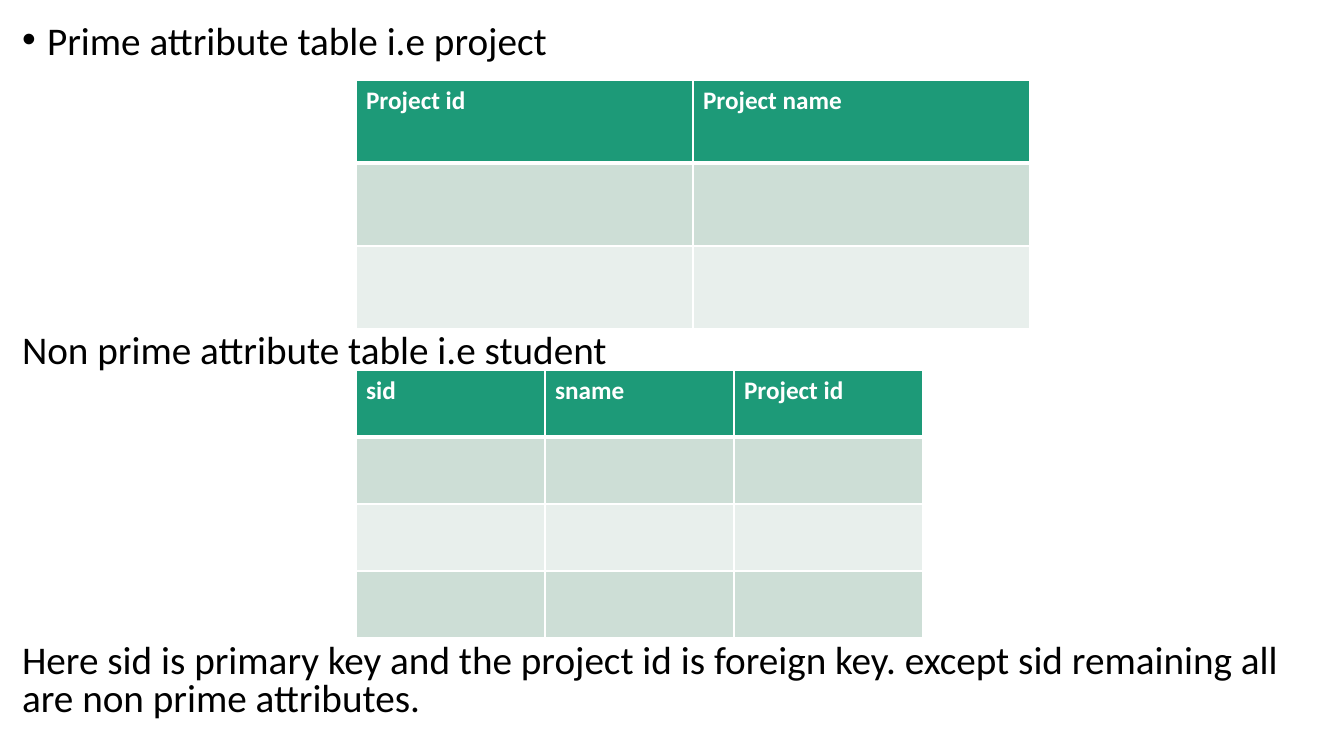
from lxml import etree
from pptx import Presentation
from pptx import util as u
from pptx.dml.color import RGBColor
from pptx.enum import text
from pptx.oxml import ns

BLACK = RGBColor(0x00, 0x00, 0x00)
WHITE = RGBColor(0xFF, 0xFF, 0xFF)
GREEN = RGBColor(0x1D, 0x9A, 0x78)
BANDS = (RGBColor(0xCD, 0xDE, 0xD6), RGBColor(0xE8, 0xEF, 0xEC))

PX = 914400 / 100.8
PAGE = (1344, 756)
BODY = (12, 20, 1332, 736)
BULLET_INDENT = 25
GAP = 272

STATEMENTS = [
    ("Prime attribute table i.e project", True),
    ("Non prime attribute table i.e student", False),
    ("Here sid is primary key and the project id is foreign key. "
     "except sid remaining all are non prime attributes.", False),
]
TABLES = [
    {"heads": ["Project id", "Project name"], "empty_rows": 2,
     "left": 356, "top": 80, "column": 337, "row": 83},
    {"heads": ["sid", "sname", "Project id"], "empty_rows": 3,
     "left": 356, "top": 370, "column": 189, "row": 67},
]
BODY_FONT = {"name": "Calibri", "size": u.Pt(28)}
HEAD_FONT = {"name": "Calibri", "size": u.Pt(18), "bold": True}


def px(length):
    return u.Emu(round(length * PX))


def set_font(font, values, color):
    for name, value in values.items():
        setattr(font, name, value)
    font.color.rgb = color


def set_bullet(para, bulleted):
    indent = px(BULLET_INDENT) if bulleted else 0
    props = para._p.get_or_add_pPr()
    props.set("marL", str(indent))
    props.set("indent", str(-indent))
    if bulleted:
        etree.SubElement(props, ns.qn("a:buFont")).set("typeface", "Arial")
        etree.SubElement(props, ns.qn("a:buChar")).set("char", "•")
    else:
        etree.SubElement(props, ns.qn("a:buNone"))


def set_borders(cell, top, bottom):
    props = cell._tc.get_or_add_tcPr()
    sides = {"L": 1, "R": 1, "T": top, "B": bottom}
    for place, (side, points) in enumerate(sides.items()):
        line = etree.Element(ns.qn(f"a:ln{side}"), w=str(u.Pt(points)))
        fill = etree.SubElement(line, ns.qn("a:solidFill"))
        etree.SubElement(fill, ns.qn("a:srgbClr")).set("val", str(WHITE))
        props.insert(place, line)


def add_statements(box):
    box.left, box.top, box.width, box.height = map(px, BODY)
    frame = box.text_frame
    frame.word_wrap = True
    frame.auto_size = text.MSO_AUTO_SIZE.NONE
    frame.vertical_anchor = text.MSO_ANCHOR.TOP
    for number, (words, bulleted) in enumerate(STATEMENTS):
        para = frame.add_paragraph() if number else frame.paragraphs[0]
        para.line_spacing = 0.8
        para.space_before = px(GAP) if number else u.Pt(0)
        set_bullet(para, bulleted)
        span = para.add_run()
        span.text = words
        set_font(span.font, BODY_FONT, BLACK)


def add_grid(page, heads, empty_rows, left, top, column, row):
    rows, columns = empty_rows + 1, len(heads)
    table = page.shapes.add_table(
        rows, columns, px(left), px(top),
        px(column * columns), px(row * rows)).table
    for row_number in range(rows):
        for column_number, head in enumerate(heads):
            cell = table.cell(row_number, column_number)
            cell.fill.solid()
            if row_number == 0:
                cell.fill.fore_color.rgb = GREEN
                span = cell.text_frame.paragraphs[0].add_run()
                span.text = head
                set_font(span.font, HEAD_FONT, WHITE)
            else:
                cell.fill.fore_color.rgb = BANDS[(row_number - 1) % 2]
            set_borders(cell, 3 if row_number == 1 else 1,
                        3 if row_number == 0 else 1)


def main():
    deck = Presentation()
    deck.slide_width, deck.slide_height = map(px, PAGE)
    page = deck.slides.add_slide(deck.slide_layouts[1])
    title = page.shapes.title._element
    title.getparent().remove(title)
    add_statements(page.placeholders[1])
    for grid in TABLES:
        add_grid(page, **grid)
    deck.save("out.pptx")


if __name__ == "__main__":
    main()
